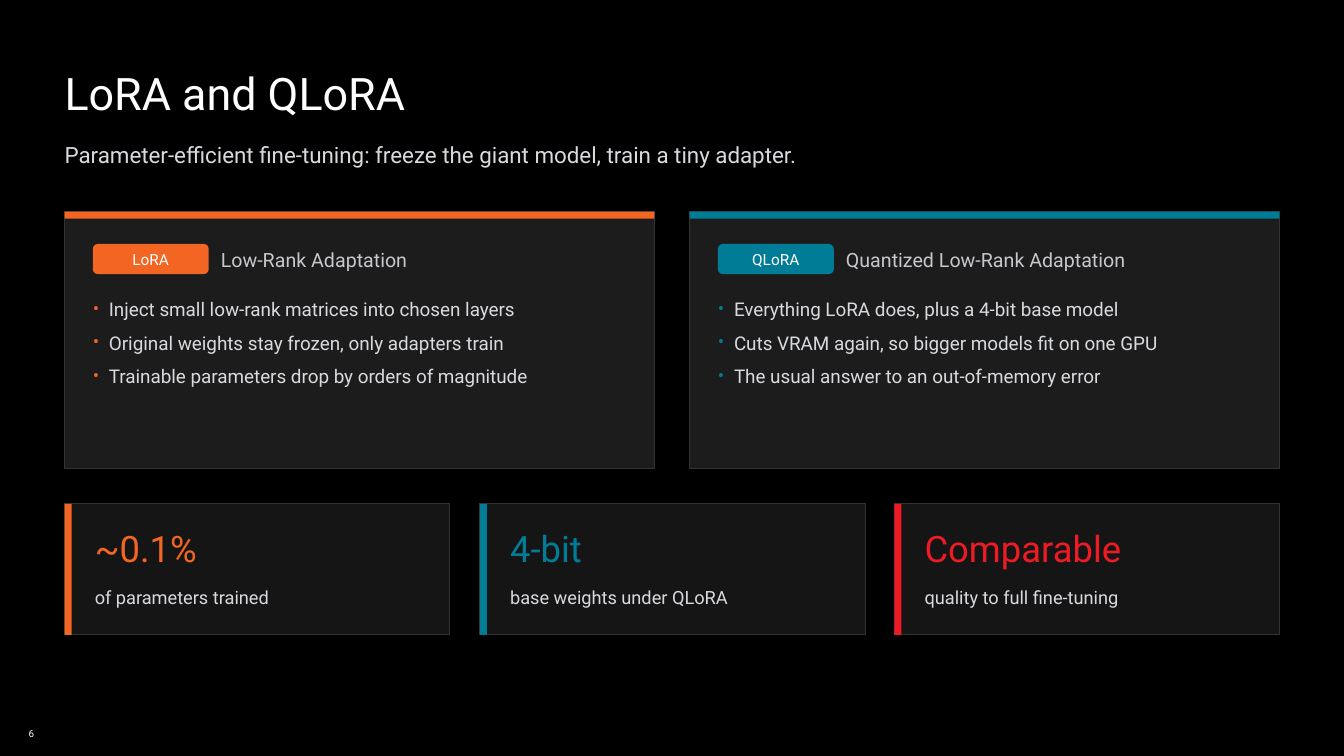
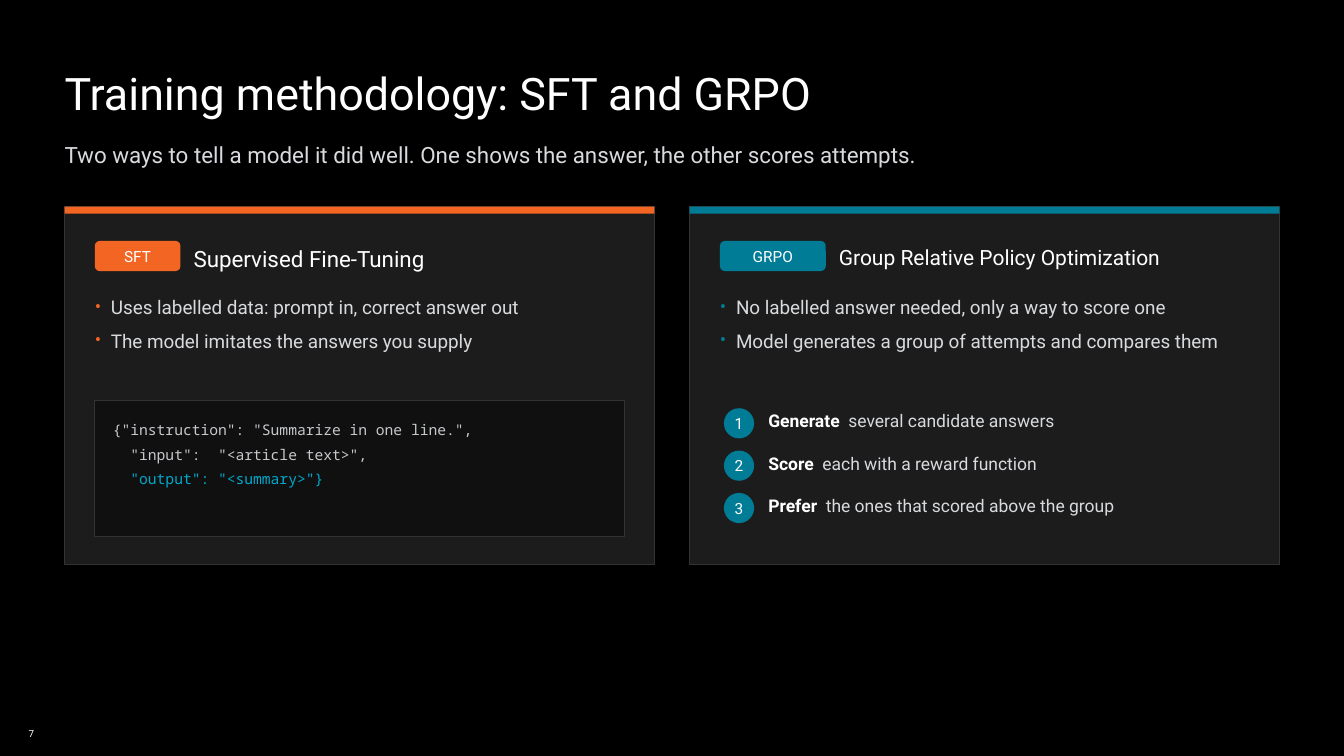
from dataclasses import dataclass

import pptx
import pptx.dml.color
import pptx.enum.shapes
import pptx.enum.text
import pptx.oxml
import pptx.oxml.ns
import pptx.util

EMU_PER_PX = 9144
SHAPES = pptx.enum.shapes.MSO_SHAPE
ALIGN = pptx.enum.text.PP_ALIGN
ANCHOR = pptx.enum.text.MSO_ANCHOR


@dataclass(frozen=True)
class Theme:
    font: str = "Roboto"
    code_font: str = "Noto Sans Mono"
    background: str = "000000"
    white: str = "FFFFFF"
    text: str = "D8DADE"
    muted: str = "C6C8CC"
    card: str = "1C1C1C"
    stat: str = "151515"
    code: str = "101010"
    border: str = "333333"
    orange: str = "F26522"
    teal: str = "007C97"
    red: str = "ED1C24"
    cyan: str = "00A8CC"
    title_size: float = 32
    figure_size: float = 26
    subtitle_size: float = 16
    list_size: float = 13.5
    caption_size: float = 13
    step_size: float = 12.5
    label_size: float = 11
    code_size: float = 10.5
    number_size: float = 7


THEME = Theme()
WIDTH, HEIGHT = 1333, 750
MARGIN, CONTENT_WIDTH = 64, 1205
CARD_WIDTH, STAT_WIDTH = 585, 382
BAND = 7


@dataclass(frozen=True)
class Run:
    text: str
    size: float
    color: str
    bold: bool = False
    font: str = THEME.font
    spacing: float = 0


@dataclass(frozen=True)
class CardStyle:
    top: int
    height: int
    inset: int
    tag_gap: int
    list_offset: int
    list_height: int
    heading_color: str


@dataclass(frozen=True)
class Card:
    tag: str
    tag_width: int
    heading: str
    heading_size: float
    color: str
    points: tuple


def px(length):
    return pptx.util.Emu(round(length) * EMU_PER_PX)


def rgb(color):
    return pptx.dml.color.RGBColor.from_string(color)


def place(shape, left, top, width, height):
    shape.left, shape.top = px(left), px(top)
    shape.width, shape.height = px(width), px(height)


def add_bullet(paragraph, color, indent=16):
    properties = paragraph._p.get_or_add_pPr()
    properties.set("marL", str(px(indent)))
    properties.set("indent", str(-px(indent)))
    namespace = pptx.oxml.ns.nsdecls("a")
    for xml in (
        f'<a:buClr {namespace}><a:srgbClr val="{color}"/></a:buClr>',
        f'<a:buFont {namespace} typeface="{THEME.font}"/>',
        f'<a:buChar {namespace} char="•"/>',
    ):
        properties.append(pptx.oxml.parse_xml(xml))


def write(shape, paragraphs, align=ALIGN.LEFT, anchor=ANCHOR.TOP,
          space_after=0, line_spacing=1.0, bullet_color=None):
    frame = shape.text_frame
    frame.word_wrap = True
    frame.auto_size = pptx.enum.text.MSO_AUTO_SIZE.NONE
    frame.vertical_anchor = anchor
    frame.margin_left = frame.margin_right = 0
    frame.margin_top = frame.margin_bottom = 0
    for index, runs in enumerate(paragraphs):
        paragraph = frame.add_paragraph() if index else frame.paragraphs[0]
        if bullet_color:
            add_bullet(paragraph, bullet_color)
        paragraph.alignment = align
        paragraph.space_before = pptx.util.Pt(0)
        paragraph.space_after = pptx.util.Pt(space_after)
        paragraph.line_spacing = line_spacing
        for item in runs:
            run = paragraph.add_run()
            run.text = item.text
            run.font.name = item.font
            run.font.size = pptx.util.Pt(item.size)
            run.font.bold = item.bold
            run.font.color.rgb = rgb(item.color)
            if item.spacing:
                run._r.get_or_add_rPr().set("spc", str(round(item.spacing * 100)))


def add_text(slide, box, paragraphs, **options):
    shape = slide.shapes.add_textbox(*map(px, box))
    write(shape, paragraphs, **options)


def add_block(slide, box, fill, border=None, kind=SHAPES.RECTANGLE):
    shape = slide.shapes.add_shape(kind, *map(px, box))
    shape.shadow.inherit = False
    shape.fill.solid()
    shape.fill.fore_color.rgb = rgb(fill)
    if border:
        shape.line.color.rgb = rgb(border)
        shape.line.width = pptx.util.Pt(0.75)
    else:
        shape.line.fill.background()
    return shape


def add_label(slide, box, text, color, kind):
    shape = add_block(slide, box, color, kind=kind)
    write(shape, [[Run(text, THEME.label_size, THEME.white)]],
          align=ALIGN.CENTER, anchor=ANCHOR.MIDDLE)


def add_slide(presentation, number, title, subtitle):
    slide = presentation.slides.add_slide(presentation.slide_layouts[3])
    place(slide.shapes.title, MARGIN, 65, CONTENT_WIDTH, 47)
    write(slide.shapes.title, [[Run(title, THEME.title_size, THEME.white)]])
    add_text(slide, (MARGIN, 140, CONTENT_WIDTH, 40),
             [[Run(subtitle, THEME.subtitle_size, THEME.text)]])
    add_text(slide, (21, 717, 13, 21),
             [[Run(str(number), THEME.number_size, THEME.white, spacing=0.1)]],
             align=ALIGN.RIGHT, anchor=ANCHOR.MIDDLE)
    return slide


def add_card(slide, placeholder, left, card, style):
    top, inner_left = style.top, left + style.inset
    inner_width = CARD_WIDTH - 2 * style.inset
    add_block(slide, (left, top, CARD_WIDTH, style.height), THEME.card, THEME.border)
    add_block(slide, (left, top, CARD_WIDTH, BAND), card.color)
    tag_top = top + style.inset + 4
    add_label(slide, (inner_left, tag_top, card.tag_width, 30),
              card.tag, card.color, SHAPES.ROUNDED_RECTANGLE)
    offset = card.tag_width + style.tag_gap
    add_text(slide, (inner_left + offset, tag_top + 4, inner_width - offset, 28),
             [[Run(card.heading, card.heading_size, style.heading_color)]])
    place(placeholder, inner_left, top + style.list_offset, inner_width, style.list_height)
    write(placeholder, [[Run(point, THEME.list_size, THEME.text)] for point in card.points],
          space_after=8, bullet_color=card.color)
    slide.shapes.element.append(placeholder.element)


def add_cards(slide, cards, style):
    for index, card in enumerate(cards):
        left = MARGIN + index * (CONTENT_WIDTH - CARD_WIDTH)
        add_card(slide, slide.placeholders[index + 1], left, card, style)


def add_stats(slide, stats, top=500, height=130):
    step = (CONTENT_WIDTH - STAT_WIDTH) / (len(stats) - 1)
    for index, (figure, caption, color) in enumerate(stats):
        left = round(MARGIN + index * step)
        add_block(slide, (left, top, STAT_WIDTH, height), THEME.stat, THEME.border)
        add_block(slide, (left, top, BAND, height), color)
        add_text(slide, (left + 30, top + 22, STAT_WIDTH - 60, 52),
                 [[Run(figure, THEME.figure_size, color)]])
        add_text(slide, (left + 30, top + 82, STAT_WIDTH - 60, 34),
                 [[Run(caption, THEME.caption_size, THEME.text)]])


def add_code(slide, box, lines):
    left, top, width, height = box
    add_block(slide, box, THEME.code, THEME.border)
    add_text(slide, (left + 18, top + 18, width - 36, height - 32),
             [[Run(line, THEME.code_size, color, font=THEME.code_font)]
              for line, color in lines],
             space_after=3, line_spacing=1.15)


def add_steps(slide, left, top, steps, color):
    for index, (verb, detail) in enumerate(steps):
        step_top = top + 42 * index
        add_label(slide, (left, step_top, 30, 30), str(index + 1), color, SHAPES.OVAL)
        add_text(slide, (left + 44, step_top + 2, 475, 30), [[
            Run(verb, THEME.step_size, THEME.white, bold=True),
            Run(" ", THEME.step_size, THEME.white, bold=True, spacing=3.1),
            Run(detail, THEME.step_size, THEME.text),
        ]])


def build_adapters(presentation):
    slide = add_slide(
        presentation, 6, "LoRA and QLoRA",
        "Parameter-efficient fine-tuning: freeze the giant model, train a tiny adapter.")
    add_cards(slide, (
        Card("LoRA", 115, "Low-Rank Adaptation", 14, THEME.orange, (
            "Inject small low-rank matrices into chosen layers",
            "Original weights stay frozen, only adapters train",
            "Trainable parameters drop by orders of magnitude")),
        Card("QLoRA", 115, "Quantized Low-Rank Adaptation", 14, THEME.teal, (
            "Everything LoRA does, plus a 4-bit base model",
            "Cuts VRAM again, so bigger models fit on one GPU",
            "The usual answer to an out-of-memory error")),
    ), CardStyle(210, 255, 28, 12, 85, 155, THEME.muted))
    add_stats(slide, (
        ("~0.1%", "of parameters trained", THEME.orange),
        ("4-bit", "base weights under QLoRA", THEME.teal),
        ("Comparable", "quality to full fine-tuning", THEME.red),
    ))


def build_training(presentation):
    slide = add_slide(
        presentation, 7, "Training methodology: SFT and GRPO",
        "Two ways to tell a model it did well. One shows the answer, the other scores attempts.")
    add_cards(slide, (
        Card("SFT", 85, "Supervised Fine-Tuning", 16, THEME.orange, (
            "Uses labelled data: prompt in, correct answer out",
            "The model imitates the answers you supply")),
        Card("GRPO", 105, "Group Relative Policy Optimization", 15, THEME.teal, (
            "No labelled answer needed, only a way to score one",
            "Model generates a group of attempts and compares them")),
    ), CardStyle(205, 355, 30, 13, 88, 100, THEME.white))
    add_code(slide, (94, 397, 525, 135), (
        ('{"instruction": "Summarize in one line.",', THEME.muted),
        ('  "input":  "<article text>",', THEME.muted),
        ('  "output": "<summary>"}', THEME.cyan),
    ))
    add_steps(slide, 718, 405, (
        ("Generate", "several candidate answers"),
        ("Score", "each with a reward function"),
        ("Prefer", "the ones that scored above the group"),
    ), THEME.teal)


def main():
    presentation = pptx.Presentation()
    presentation.slide_width, presentation.slide_height = px(WIDTH), px(HEIGHT)
    background = presentation.slide_master.background.fill
    background.solid()
    background.fore_color.rgb = rgb(THEME.background)
    build_adapters(presentation)
    build_training(presentation)
    presentation.save("out.pptx")


if __name__ == "__main__":
    main()
